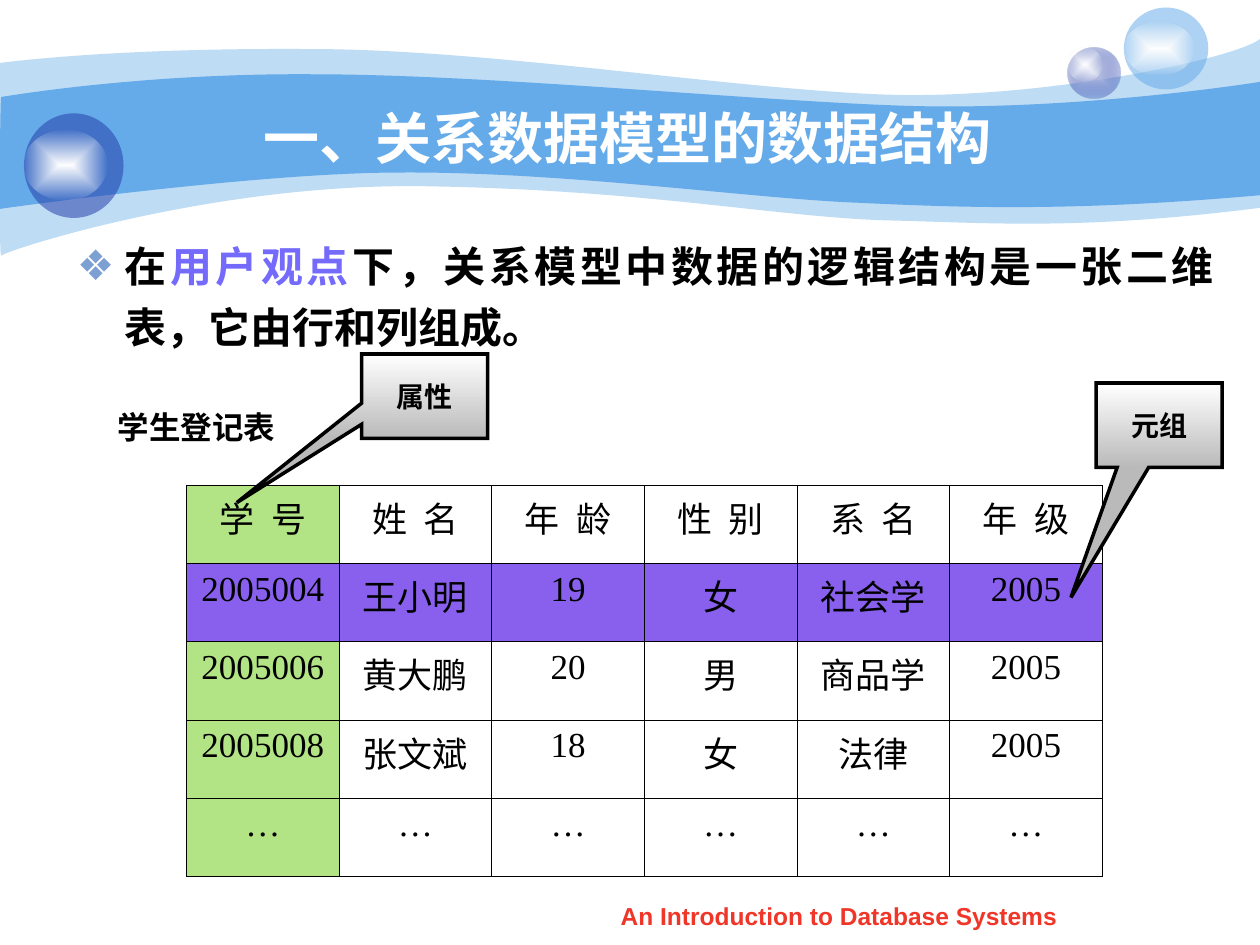
from lxml.etree import SubElement
from pptx import Presentation
from pptx.dml.color import RGBColor
from pptx.enum.lang import MSO_LANGUAGE_ID
from pptx.enum.shapes import MSO_SHAPE
from pptx.enum.text import MSO_ANCHOR, MSO_AUTO_SIZE, PP_ALIGN
from pptx.oxml import parse_xml
from pptx.oxml.ns import nsdecls, qn
from pptx.util import Inches, Pt

COLORS = {
    "black": "000000", "white": "FFFFFF", "clear": "FEFEFE", "gray": "BABABA",
    "sky": "65AAE9", "navy": "233DA9", "mist": "C6CCE8", "bullet": "7DA0D3",
    "violet": "746AFC", "green": "B2E385", "purple": "8960EE", "red": "F03628",
}
CENTER_FOCUS = '<a:path path="rect"><a:fillToRect l="50000" t="50000" r="50000" b="50000"/></a:path>'
DOWNWARD = '<a:lin ang="5400000" scaled="0"/>'
GLOW = [("white", 100), ("clear", 0)]

# Each segment lists its points: one for a line, three for a cubic curve.
OUTER_BAND = [
    [(0, 0.5)],
    [(0.24, 0.47), (1.07, 0.38), (2.47, 0.39)],
    [(3.86, 0.39), (5.75, 0.7), (6.99, 0.75)],
    [(8.22, 0.8), (9.8, 0.47), (10, 0.31)],
    [(10, 1.65)],
    [(8.58, 1.83), (7.87, 1.77), (7.05, 1.75)],
    [(6.22, 1.73), (5.15, 1.51), (3.43, 1.48)],
    [(1.72, 1.44), (0.04, 1.99), (0.01, 2.03)],
    [(-0.01, 2.08), (0, 0.75), (0, 0.5)],
]
INNER_BAND = [
    [(0.01, 0.77)],
    [(0.02, 0.77), (1.1, 0.58), (2.48, 0.59)],
    [(3.86, 0.59), (5.95, 0.8), (7.18, 0.84)],
    [(8.41, 0.88), (9.76, 0.69), (10, 0.65)],
    [(10, 1.55)],
    [(8.53, 1.68), (7.65, 1.65), (6.82, 1.61)],
    [(5.99, 1.58), (4.47, 1.36), (3.17, 1.37)],
    [(2.03, 1.37), (-0.02, 1.66), (-0.01, 1.66)],
    [(0, 1.66), (0, 0.77), (0.01, 0.77)],
]
STUDENTS = [
    ["学 号", "姓 名", "年 龄", "性 别", "系 名", "年 级"],
    ["2005004", "王小明", "19", "女", "社会学", "2005"],
    ["2005006", "黄大鹏", "20", "男", "商品学", "2005"],
    ["2005008", "张文斌", "18", "女", "法律", "2005"],
    ["…"] * 6,
]


def rgb(color):
    return RGBColor.from_string(COLORS[color])


def fill_solid(shape, color, opacity=100):
    shape.fill.solid()
    shape.fill.fore_color.rgb = rgb(color)
    if opacity < 100:
        value = shape.element.spPr.find(qn("a:solidFill"))[0]
        SubElement(value, qn("a:alpha"), val=str(opacity * 1000))


def fill_gradient(shape, stops, direction):
    """Blend two (color, opacity) stops along the given direction element."""
    stop_list = "".join(
        f'<a:gs pos="{position}"><a:srgbClr val="{COLORS[color]}">'
        f'<a:alpha val="{opacity * 1000}"/></a:srgbClr></a:gs>'
        for position, (color, opacity) in zip((0, 100000), stops))
    shape.fill.solid()
    properties = shape.element.spPr
    properties.replace(properties.find(qn("a:solidFill")), parse_xml(
        f'<a:gradFill {nsdecls("a")} rotWithShape="1"><a:gsLst>{stop_list}</a:gsLst>'
        f'{direction}</a:gradFill>'))


def bend_outline(shape, segments):
    """Merge the three lines through each curve's points into one cubic curve."""
    lines = iter(list(shape.element.iter(qn("a:lnTo"))))
    for segment in segments[1:]:
        first, *others = [next(lines) for _ in segment]
        if others:
            first.tag = qn("a:cubicBezTo")
            for line in others:
                first.append(line[0])
                line.getparent().remove(line)


def add_band(slide, segments, opacity):
    start, *rest = [(Inches(x), Inches(y)) for segment in segments for x, y in segment]
    builder = slide.shapes.build_freeform(*start)
    builder.add_line_segments(rest, close=True)
    band = builder.convert_to_shape()
    bend_outline(band, segments)
    band.shadow.inherit = False
    band.line.fill.background()
    fill_solid(band, "sky", opacity)


def add_ellipse(slide, box):
    ellipse = slide.shapes.add_shape(MSO_SHAPE.OVAL, *map(Inches, box))
    ellipse.shadow.inherit = False
    ellipse.line.fill.background()
    return ellipse


def add_decoration(slide):
    add_band(slide, OUTER_BAND, 41)
    add_band(slide, INNER_BAND, 100)
    fill_gradient(add_ellipse(slide, (8.47, 0.38, 0.42, 0.4)),
                  [("mist", 100), ("navy", 31)], CENTER_FOCUS)
    fill_gradient(add_ellipse(slide, (8.47, 0.38, 0.28, 0.27)), GLOW, CENTER_FOCUS)
    for ball, color, highlight in [
        ((8.92, 0.06, 0.67, 0.65), "sky", (8.92, 0.17, 0.56, 0.43)),
        ((0.19, 0.9, 0.79, 0.83), "navy", (0.19, 1.03, 0.66, 0.56)),
    ]:
        fill_solid(add_ellipse(slide, ball), color, 53)
        fill_gradient(add_ellipse(slide, highlight), GLOW, CENTER_FOCUS)


def add_run(paragraph, text, size, color="black", name="Times New Roman", bold=True):
    run = paragraph.add_run()
    run.text = text
    language = (MSO_LANGUAGE_ID.ENGLISH_US if text.isascii()
                else MSO_LANGUAGE_ID.SIMPLIFIED_CHINESE)
    formats = {"size": Pt(size), "name": name, "bold": bold, "language_id": language}
    for attribute, value in formats.items():
        setattr(run.font, attribute, value)
    run.font.color.rgb = rgb(color)
    return run


def place_placeholder(shape, box, anchor):
    """Move a placeholder and bring it in front of the decoration."""
    for attribute, value in zip(("left", "top", "width", "height"), box):
        setattr(shape, attribute, Inches(value))
    shape.text_frame.auto_size = MSO_AUTO_SIZE.NONE
    shape.text_frame.vertical_anchor = anchor
    shape.element.getparent().append(shape.element)
    return shape.text_frame


def write_title(slide):
    frame = place_placeholder(slide.shapes.title, (1, 0.75, 8.08, 0.62), MSO_ANCHOR.MIDDLE)
    frame.margin_right = Inches(0.21)
    frame.margin_top = Inches(0.1)
    paragraph = frame.paragraphs[0]
    paragraph.alignment = PP_ALIGN.CENTER
    add_run(paragraph, "一、关系数据模型的数据结构", 32, "white", "Arial")


def write_body(slide):
    frame = place_placeholder(slide.placeholders[1], (0.51, 1.78, 9.23, 1.1), MSO_ANCHOR.TOP)
    paragraph = frame.paragraphs[0]
    properties = paragraph._p.get_or_add_pPr()
    settings = {"marL": Inches(0.38), "indent": Inches(-0.38), "hangingPunct": 0}
    for attribute, value in settings.items():
        properties.set(attribute, str(value))
    bullet_color = SubElement(properties, qn("a:buClr"))
    SubElement(bullet_color, qn("a:srgbClr"), val=COLORS["bullet"])
    SubElement(properties, qn("a:buChar"), char="❖")
    formats = {"alignment": PP_ALIGN.JUSTIFY, "line_spacing": 1.2, "space_before": Pt(0)}
    for attribute, value in formats.items():
        setattr(paragraph, attribute, value)
    for text, color in [("在", "black"), ("用户观点", "violet"),
                        ("下，关系模型中数据的逻辑结构是一张二维表，它由行和列组成。", "black")]:
        add_run(paragraph, text, 24, color, "Arial")


def add_cell_borders(cell):
    properties = cell._tc.get_or_add_tcPr()
    for index, side in enumerate(("lnL", "lnR", "lnT", "lnB")):
        properties.insert(index, parse_xml(
            f'<a:{side} {nsdecls("a")} w="{Pt(0.45)}"><a:solidFill>'
            f'<a:srgbClr val="{COLORS["black"]}"/></a:solidFill></a:{side}>'))


def add_student_table(slide):
    box = map(Inches, (1.48, 3.85, 7.27, 3.11))
    table = slide.shapes.add_table(len(STUDENTS), len(STUDENTS[0]), *box).table
    table.first_row = table.horz_banding = False
    for row_index, row in enumerate(STUDENTS):
        for column_index, text in enumerate(row):
            cell = table.cell(row_index, column_index)
            color = "purple" if row_index == 1 else "green" if column_index == 0 else None
            if color:
                cell.fill.solid()
                cell.fill.fore_color.rgb = rgb(color)
            else:
                cell.fill.background()
            add_cell_borders(cell)
            paragraph = cell.text_frame.paragraphs[0]
            paragraph.alignment = PP_ALIGN.CENTER
            run = add_run(paragraph, text, 20, bold=False)
            if row_index == 0:
                run.font._element.set("spc", "250")


def add_label(slide, box, text, wrap, **run_format):
    frame = slide.shapes.add_textbox(*map(Inches, box)).text_frame
    frame.word_wrap = wrap
    frame.paragraphs[0].alignment = PP_ALIGN.CENTER
    add_run(frame.paragraphs[0], text, **run_format)


def add_callout(slide, left, top, text, tip):
    callout = slide.shapes.add_shape(MSO_SHAPE.RECTANGULAR_CALLOUT, Inches(left),
                                     Inches(top), Inches(1), Inches(0.67))
    callout.shadow.inherit = False
    callout.adjustments[0], callout.adjustments[1] = tip
    fill_gradient(callout, [("white", 100), ("gray", 100)], DOWNWARD)
    callout.line.color.rgb = rgb("black")
    callout.line.width = Pt(2)
    SubElement(callout.element.spPr.find(qn("a:ln")), qn("a:miter"), lim="800000")
    callout.text_frame.vertical_anchor = MSO_ANCHOR.MIDDLE
    paragraph = callout.text_frame.paragraphs[0]
    paragraph.alignment = PP_ALIGN.CENTER
    add_run(paragraph, text, 16)


def main():
    presentation = Presentation()
    presentation.slide_width, presentation.slide_height = Inches(10), Inches(7.5)
    slide = presentation.slides.add_slide(presentation.slide_layouts[1])
    add_decoration(slide)
    write_title(slide)
    write_body(slide)
    add_student_table(slide)
    add_label(slide, (0.46, 3.19, 2.2, 0.4), "学生登记表", False, size=18)
    add_callout(slide, 2.87, 2.81, "属性", (-1.49, 1.26))
    add_callout(slide, 8.7, 3.04, "元组", (-0.7, 2.04))
    add_label(slide, (3.43, 7.1, 6.46, 0.35), "An Introduction to Database Systems", True,
              size=14, color="red", name="Arial")
    presentation.save("out.pptx")


if __name__ == "__main__":
    main()
